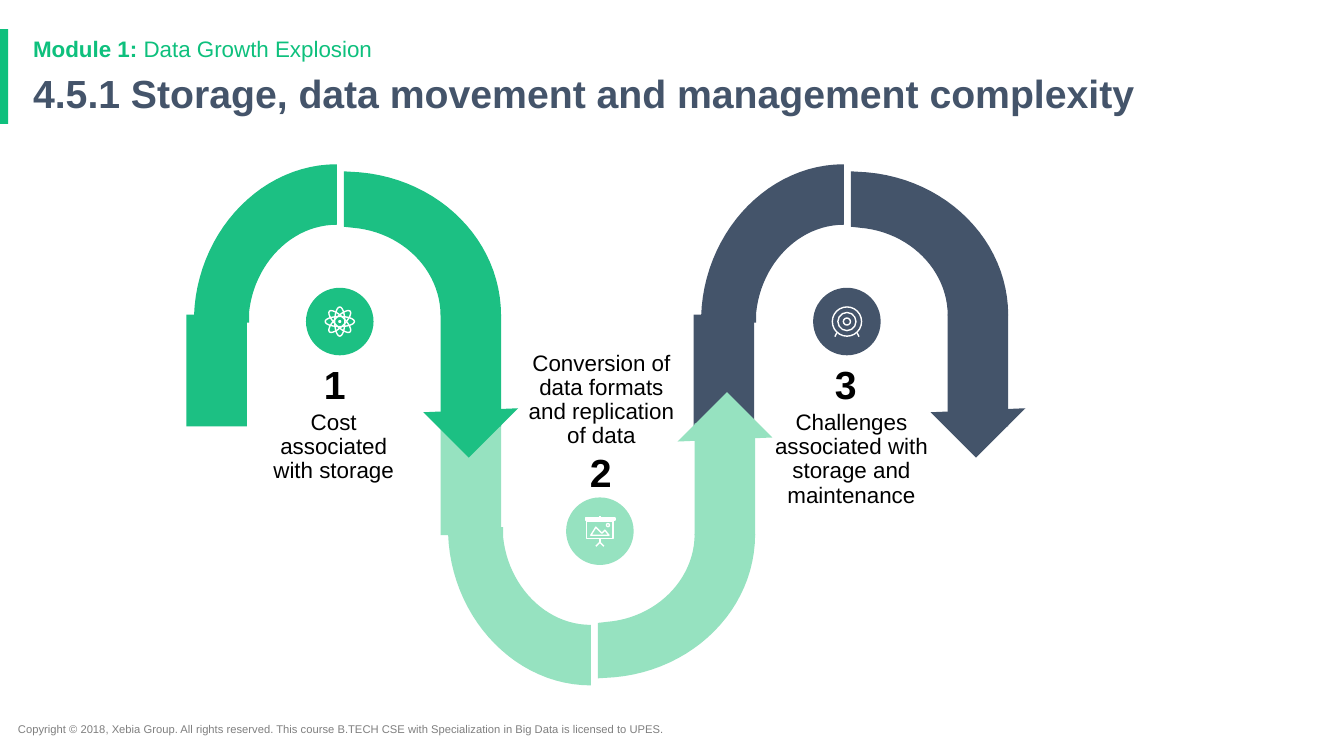
from lxml import etree
from pptx import Presentation
from pptx import util as u
from pptx.dml import color
from pptx.enum import shapes, text
from pptx.oxml import ns

GREEN, MINT, SLATE = "1CC083", "96E2C0", "44546A"
ACCENT, WHITE, BLACK, GREY = "0EC07D", "FFFFFF", "000000", "7F7F7F"
RECT, OVAL = shapes.MSO_SHAPE.RECTANGLE, shapes.MSO_SHAPE.OVAL
MIRROR_WIDTH, MIRROR_HEIGHT = 5.64, 8.43
ICON_LINE = 1

LEFT_ARC = [(0.07, 3.2), (0.08, 3.04), (0.15, 2.26, 0.76, 1.63, 1.49, 1.63),
            (1.49, 2.23), (1.04, 2.23, 0.67, 2.62, 0.62, 3.1), (0.62, 3.2)]
RIGHT_ARC = [(1.56, 1.7), (1.72, 1.71), (2.51, 1.78, 3.12, 2.39, 3.12, 3.13),
             (2.52, 3.13), (2.52, 2.68, 2.14, 2.3, 1.65, 2.26), (1.56, 2.25)]
ARROW_HEAD = [(2.35, 4.09), (3.29, 4.05), (2.8, 4.54)]


def rgb(value):
    """Turn a hex string into a colour."""
    return color.RGBColor.from_string(value)


def flatten(outline, steps=24):
    """Turn corners and cubic curves into a list of points."""
    points = []
    for item in outline:
        if len(item) == 2:
            points.append(item)
            continue
        start, first, second, end = points[-1], item[:2], item[2:4], item[4:]
        for step in range(1, steps + 1):
            t = step / steps
            weights = ((1 - t) ** 3, 3 * t * (1 - t) ** 2, 3 * t * t * (1 - t), t ** 3)
            knots = (start, first, second, end)
            points.append(tuple(sum(w * k[axis] for w, k in zip(weights, knots))
                                for axis in (0, 1)))
    return points


class Painter:
    """Hold the font and the page, and draw each kind of element."""

    def __init__(self, page, font="Arial"):
        """Keep the page and the font."""
        self.page = page
        self.font = font

    def style(self, shape, fill=None, line=None):
        """Set fill, line and shadow of a shape."""
        shape.shadow.inherit = False
        if fill:
            shape.fill.solid()
            shape.fill.fore_color.rgb = rgb(fill)
        else:
            shape.fill.background()
        if line:
            shape.line.color.rgb = rgb(line)
            shape.line.width = u.Pt(ICON_LINE)
        else:
            shape.line.fill.background()
        return shape

    def shape(self, kind, left, top, width, height, fill=None, line=None):
        """Draw a preset shape."""
        box = map(u.Inches, (left, top, width, height))
        return self.style(self.page.shapes.add_shape(kind, *box), fill, line)

    def disc(self, x, y, width, height, fill=None, line=None):
        """Draw an ellipse around a centre."""
        return self.shape(OVAL, x - width / 2, y - height / 2, width, height, fill, line)

    def outline(self, points, fill=None, line=None):
        """Draw a closed freeform."""
        points = [(u.Inches(x), u.Inches(y)) for x, y in points]
        builder = self.page.shapes.build_freeform(*points[0])
        builder.add_line_segments(points[1:], close=True)
        return self.style(builder.convert_to_shape(), fill, line)

    def line(self, *ends):
        """Draw a thin white icon line."""
        link = self.page.shapes.add_connector(shapes.MSO_CONNECTOR.STRAIGHT,
                                              *map(u.Inches, ends))
        link.line.color.rgb = rgb(WHITE)
        link.line.width = u.Pt(ICON_LINE)
        etree.SubElement(link._element.spPr, ns.qn("a:effectLst"))

    def text(self, left, top, width, height, spans, size, ink,
             centred=False, spacing=None):
        """Write one paragraph of (words, bold) spans."""
        box = self.page.shapes.add_textbox(*map(u.Inches, (left, top, width, height)))
        box.text_frame.word_wrap = True
        para = box.text_frame.paragraphs[0]
        if centred:
            para.alignment = text.PP_ALIGN.CENTER
        if spacing:
            para.line_spacing = spacing
        para.font.name, para.font.size = self.font, u.Pt(size)
        para.font.color.rgb = rgb(ink)
        for words, bold in spans:
            span = para.add_run()
            span.text = words
            span.font.bold = bold

    def wave(self, left, fill, upturned=False):
        """Draw a bent arrow, an arch or its mirrored form."""
        def place(points, turned=False):
            return [(left + (MIRROR_WIDTH - x if turned else x),
                     MIRROR_HEIGHT - y if upturned else y) for x, y in points]

        for arc in (LEFT_ARC, RIGHT_ARC):
            self.outline(place(flatten(arc)), fill)
        for offset in (0, 2.52):
            self.shape(RECT, left + offset, 4.2 if upturned else 3.12, 0.6, 1.11, fill)
        self.outline(place(ARROW_HEAD, upturned), fill)

    def atom(self, x, y):
        """Draw an atom icon."""
        for angle in range(0, 180, 45):
            self.disc(x, y, 0.1, 0.29, line=WHITE).rotation = angle
        self.disc(x, y, 0.03, 0.03, WHITE)

    def board(self, x, y):
        """Draw a picture board icon."""
        self.shape(RECT, x - 0.14, y - 0.13, 0.29, 0.02, line=WHITE)
        self.shape(RECT, x - 0.13, y - 0.1, 0.26, 0.17, line=WHITE)
        peaks = [(-0.09, 0.04), (-0.04, -0.04), (0.02, 0.02), (0.05, -0.01), (0.09, 0.04)]
        self.outline([(x + dx, y + dy) for dx, dy in peaks], line=WHITE)
        self.disc(x + 0.08, y - 0.06, 0.03, 0.03, line=WHITE)
        self.line(x, y - 0.15, x, y - 0.13)
        self.line(x, y + 0.07, x, y + 0.11)
        for side in (-1, 1):
            self.line(x, y + 0.11, x + side * 0.04, y + 0.15)

    def target(self, x, y):
        """Draw a target icon."""
        for size in (0.29, 0.18, 0.07):
            self.disc(x, y, size, size, line=WHITE)
        for side in (-1, 1):
            self.line(x + side * 0.1, y + 0.11, x + side * 0.12, y + 0.15)


def main():
    """Build the slide and save it."""
    deck = Presentation()
    deck.slide_width, deck.slide_height = u.Inches(13.33), u.Inches(7.5)
    painter = Painter(deck.slides.add_slide(deck.slide_layouts[6]))

    painter.shape(RECT, 0, 0.29, 0.08, 0.94, ACCENT)
    painter.text(0.08, 7.12, 7.13, 0.24, [(
        "Copyright © 2018, Xebia Group. All rights reserved. This course B.TECH CSE "
        "with Specialization in Big Data is licensed to UPES.", False)], 8, GREY)
    painter.text(0.23, 0.69, 11.5, 0.54, [(
        "4.5.1 Storage, data movement and management complexity", True)],
        28, SLATE, spacing=0.9)
    painter.text(0.23, 0.3, 11.5, 0.33, [
        ("Module 1: ", True), ("Data Growth Explosion", False)], 16, ACCENT)

    painter.wave(6.88, SLATE)
    painter.wave(4.37, MINT, upturned=True)
    painter.wave(1.85, GREEN)

    steps = [
        ("1", "Cost associated with storage", GREEN, painter.atom,
         (3.37, 3.19), (2.59, 3.58), (2.58, 4.03, 1.46)),
        ("2", "Conversion of data formats and replication of data", MINT, painter.board,
         (5.95, 5.27), (5.23, 4.45), (5.08, 3.44, 1.77)),
        ("3", "Challenges associated with storage and maintenance", SLATE, painter.target,
         (8.4, 3.19), (7.66, 3.58), (7.56, 4.03, 1.77)),
    ]
    for number, caption, fill, icon, centre, number_at, caption_at in steps:
        painter.disc(*centre, 0.67, 0.67, fill)
        icon(*centre)
        painter.text(*number_at, 1.46, 0.43, [(number, True)], 28, BLACK, True, 0.9)
        painter.text(*caption_at, 1.42, [(caption, False)], 16, BLACK, True, 0.9)

    deck.save("out.pptx")


if __name__ == "__main__":
    main()
